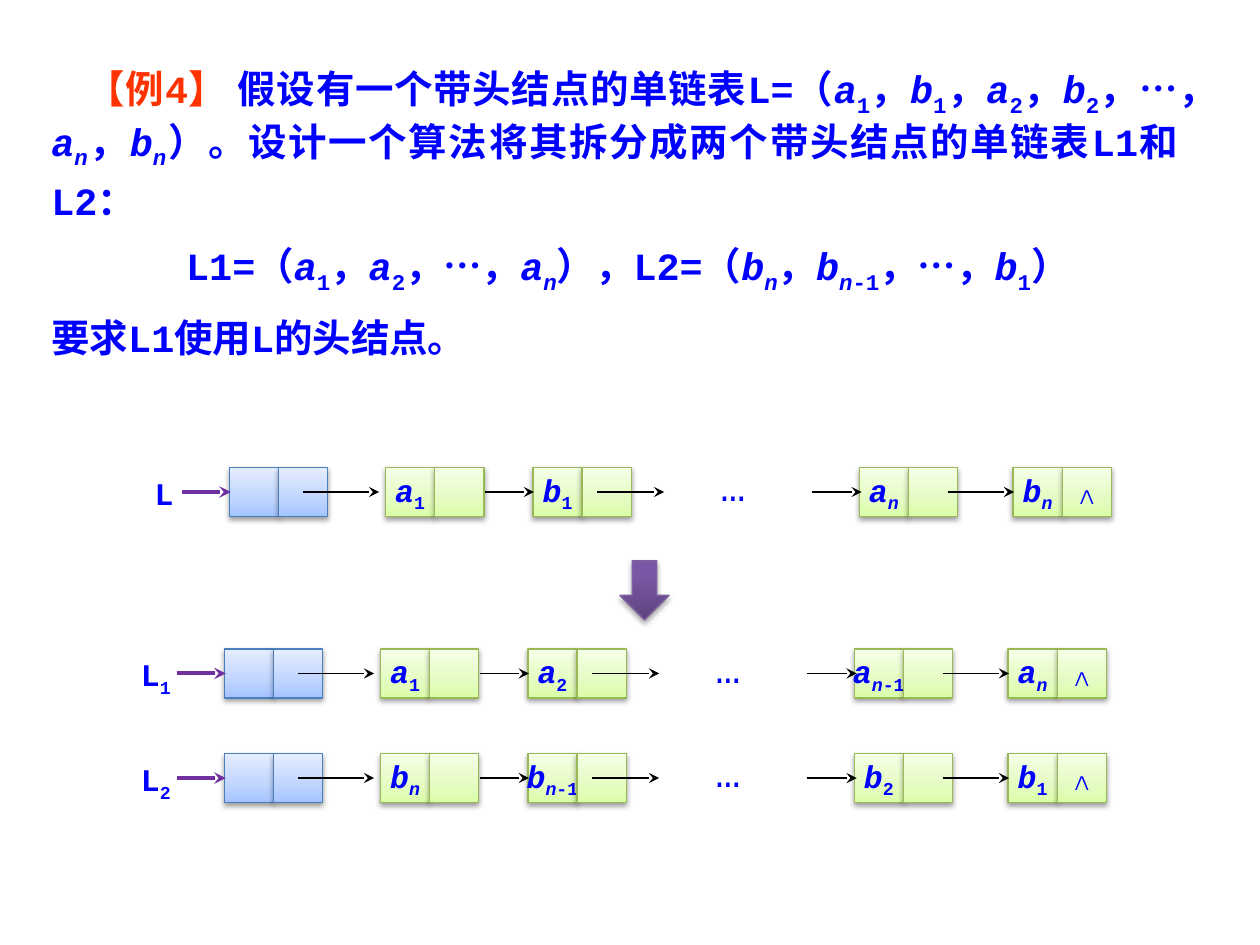
import itertools

import pptx
import pptx.dml.color
import pptx.enum.dml
import pptx.enum.shapes
import pptx.enum.text
import pptx.oxml
import pptx.oxml.ns
import pptx.util

RGBColor = pptx.dml.color.RGBColor
Inches = pptx.util.Inches
Pt = pptx.util.Pt
Shape = pptx.enum.shapes.MSO_SHAPE
Align = pptx.enum.text.PP_ALIGN

BLUE = RGBColor(0x00, 0x00, 0xFF)
ORANGE = RGBColor(0xFF, 0x33, 0x00)
PURPLE = RGBColor(0x70, 0x30, 0xA0)
BLACK = RGBColor(0x00, 0x00, 0x00)
HEAD_LINE = RGBColor(0x4B, 0x7E, 0xBC)
NODE_LINE = RGBColor(0x98, 0xB9, 0x55)
SPLIT_LINE = RGBColor(0x7D, 0x60, 0xA0)


def gradient_stops(*stops):
    return [(position, RGBColor.from_string(color)) for position, color in stops]


HEAD_FILL = gradient_stops((0, "A4C4FF"), (35, "BFD4FF"), (100, "E6EEFF"))
NODE_FILL = gradient_stops((0, "DAFDA7"), (35, "E4FCC2"), (100, "F5FFE7"))
SPLIT_FILL = gradient_stops((0, "5F4480"), (80, "7B58A6"), (100, "7C57A8"))

FONT = "Courier New"
CELL = 0.39  # side of one list cell, in inches

# Columns of a list row, counted in cells from the head node
NODE_COLUMNS = (3.18, 6.18, 12.82, 15.95)
ARROW_COLUMNS = ((1.5, 3.05), (5.2, 6.2), (7.49, 8.85), (11.85, 12.87), (14.62, 15.97))


def add_xml(parent, xml):
    namespace = pptx.oxml.ns.nsdecls("a")
    parent.append(pptx.oxml.parse_xml(xml.replace("/>", f" {namespace}/>", 1)
                                      if xml.endswith("/>") and xml.count("<") == 1
                                      else xml.replace(">", f" {namespace}>", 1)))


def write_text(paragraph, text, size=18, color=BLUE, bold=True):
    """Add runs; in {a1} the first letter is the symbol and the rest its subscript."""
    def add_run(content, italic=False, subscript=False):
        run = paragraph.add_run()
        run.text = content
        run.font.name, run.font.size = FONT, Pt(size)
        run.font.bold, run.font.italic = bold, italic
        run.font.color.rgb = color
        if subscript:
            run.font._element.set("baseline", "-25000")

    for piece in text.replace("}", "{").split("{")[0::1] and split_symbols(text):
        content, is_symbol = piece
        if not is_symbol:
            add_run(content)
            continue
        add_run(content[0], italic=content[0].islower())
        for italic, letters in itertools.groupby(content[1:], str.islower):
            add_run("".join(letters), italic=italic, subscript=True)


def split_symbols(text):
    """Return (content, is_symbol) pairs, the odd pieces lying inside braces."""
    pieces = text.replace("}", "{").split("{")
    return [(piece, index % 2 == 1) for index, piece in enumerate(pieces) if piece]


def add_text_box(slide, left, top, width, height):
    box = slide.shapes.add_textbox(Inches(left), Inches(top), Inches(width), Inches(height))
    box.text_frame.word_wrap = True
    box.text_frame.auto_size = pptx.enum.text.MSO_AUTO_SIZE.SHAPE_TO_FIT_TEXT
    return box.text_frame


def add_block(slide, kind, box, stops, line_color, opacity=38, distance=20000):
    """Add a preset shape with an upward gradient and a soft shadow below."""
    shape = slide.shapes.add_shape(kind, *map(Inches, box))
    shape.fill.gradient()
    shape.fill.gradient_angle = 90
    properties = shape._element.spPr
    stop_list = properties.find(".//" + pptx.oxml.ns.qn("a:gsLst"))
    for stop in list(stop_list):
        stop_list.remove(stop)
    for position, color in stops:
        add_xml(stop_list, f'<a:gs pos="{position * 1000}"><a:srgbClr val="{color}"/></a:gs>')
    shape.line.color.rgb = line_color
    shape.line.width = Pt(0.75)
    shape.shadow.inherit = False
    add_xml(properties.find(pptx.oxml.ns.qn("a:effectLst")),
            f'<a:outerShdw blurRad="40000" dist="{distance}" dir="5400000" rotWithShape="0">'
            f'<a:srgbClr val="000000"><a:alpha val="{opacity * 1000}"/></a:srgbClr></a:outerShdw>')
    return shape


def add_arrow(slide, start, end, y, color=BLACK, width=0.75):
    arrow = slide.shapes.add_connector(pptx.enum.shapes.MSO_CONNECTOR.STRAIGHT,
                                       Inches(start), Inches(y), Inches(end), Inches(y))
    arrow.line.color.rgb = color
    arrow.line.width = Pt(width)
    add_xml(arrow.line._get_or_add_ln(), '<a:tailEnd type="stealth"/>')
    add_xml(arrow._element.spPr, "<a:effectLst/>")


def add_node(slide, left, top, texts, stops=NODE_FILL, line_color=NODE_LINE):
    """Add a data cell and a pointer cell side by side."""
    for column, text in enumerate(texts):
        cell = add_block(slide, Shape.RECTANGLE, (left + column * CELL, top, CELL, CELL),
                         stops, line_color)
        if text:
            frame = cell.text_frame
            frame.word_wrap = False
            frame.vertical_anchor = pptx.enum.text.MSO_ANCHOR.MIDDLE
            frame.paragraphs[0].alignment = Align.CENTER
            write_text(frame.paragraphs[0], text)


def add_linked_list(slide, left, top, label, label_column, label_width, symbols):
    def x(column):
        return left + column * CELL

    middle = top + CELL / 2
    add_node(slide, left, top, ("", ""), HEAD_FILL, HEAD_LINE)
    add_arrow(slide, x(-0.97), x(0.03), middle, PURPLE, 2.25)
    label_frame = add_text_box(slide, x(label_column), top, label_width * CELL, 0.4)
    write_text(label_frame.paragraphs[0], label)
    for column, symbol in zip(NODE_COLUMNS, symbols):
        add_node(slide, x(column), top, (symbol, "∧" if column == NODE_COLUMNS[-1] else ""))
    for start, end in ARROW_COLUMNS:
        add_arrow(slide, x(start), x(end), middle)
    dots = add_text_box(slide, x(9.74), top - 0.28 * CELL, 2.03 * CELL, 1.28 * CELL)
    write_text(dots.paragraphs[0], "…", size=24, bold=False)


def add_problem(slide, left, top, width, height):
    frame = add_text_box(slide, left, top, width, height)
    texts = (
        (0.28, "假设有一个带头结点的单链表L=（{a1}，{b1}，{a2}，{b2}，…，{an}，{bn}）。"
               "设计一个算法将其拆分成两个带头结点的单链表L1和L2："),
        (1.07, "L1=（{a1}，{a2}，…，{an}），L2=（{bn}，{bn-1}，…，{b1}）"),
        (0, "要求L1使用L的头结点。"),
    )
    for index, (indent, text) in enumerate(texts):
        paragraph = frame.add_paragraph() if index else frame.paragraphs[0]
        paragraph.alignment = Align.JUSTIFY
        paragraph._element.get_or_add_pPr().set("indent", str(Inches(indent)))
        if index:
            paragraph.space_before = Pt(11)
        else:
            paragraph.line_spacing = Pt(30)
            write_text(paragraph, "【例4】 ", size=22, color=ORANGE)
        write_text(paragraph, text, size=22)


def main():
    presentation = pptx.Presentation()
    presentation.slide_width, presentation.slide_height = Inches(10), Inches(7.5)
    slide = presentation.slides.add_slide(presentation.slide_layouts[6])
    add_problem(slide, 0.31, 0.47, 9.14, 2.05)
    add_linked_list(slide, 1.82, 3.71, "L", -1.77, 0.74, ("{a1}", "{b1}", "{an}", "{bn}"))
    add_block(slide, Shape.DOWN_ARROW, (4.92, 4.45, CELL, 0.47), SPLIT_FILL, SPLIT_LINE,
              opacity=35, distance=23000)
    add_linked_list(slide, 1.78, 5.15, "{L1}", -1.95, 1.56, ("{a1}", "{a2}", "{an-1}", "{an}"))
    add_linked_list(slide, 1.78, 5.98, "{L2}", -1.95, 1.56, ("{bn}", "{bn-1}", "{b2}", "{b1}"))
    presentation.save("out.pptx")


if __name__ == "__main__":
    main()
